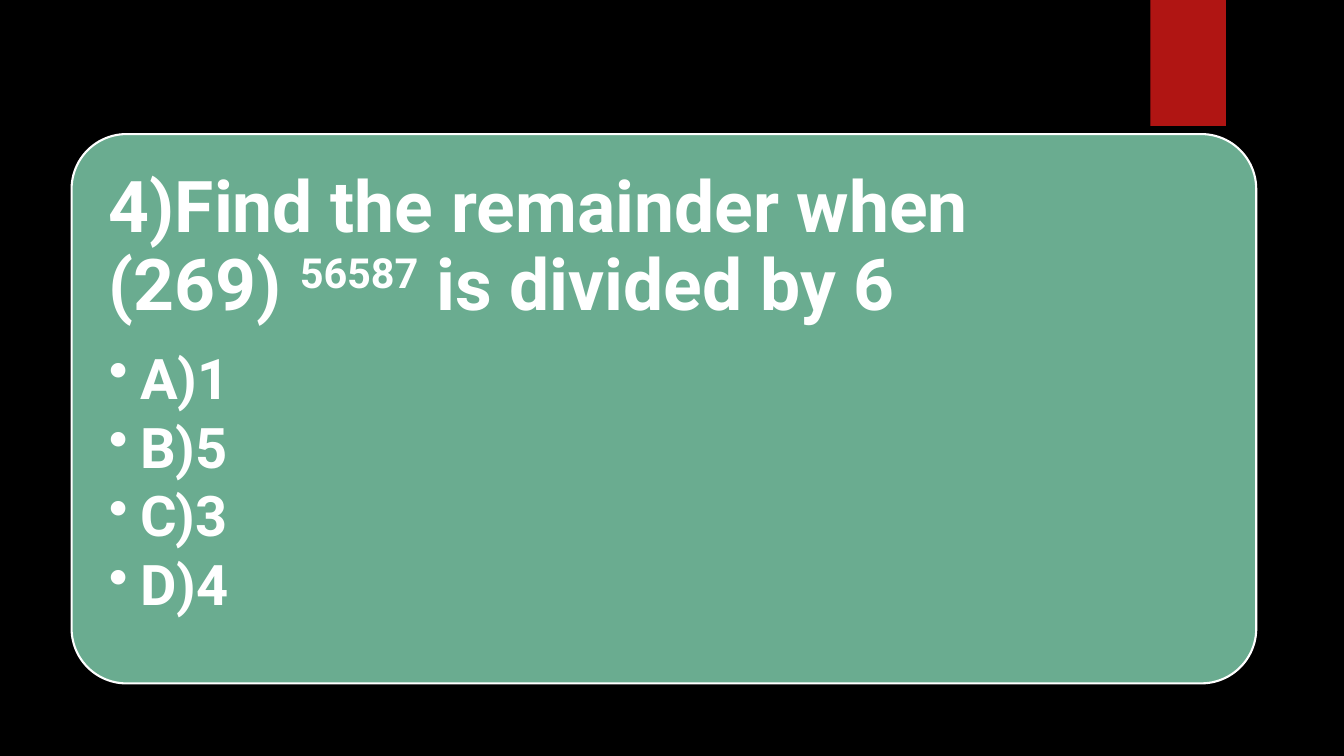
from lxml.etree import SubElement
from pptx import Presentation
from pptx.dml.color import RGBColor
from pptx.enum.shapes import MSO_SHAPE
from pptx.enum.text import MSO_ANCHOR, PP_ALIGN
from pptx.oxml.ns import qn
from pptx.util import Inches, Pt

COLORS = {"background": "000000", "ribbon": "B01513", "card": "6AAC90", "white": "FFFFFF"}
FONT = "Roboto"
OPTIONS = ["A)1", "B)5", "C)3", "D)4"]


def color(name):
    return RGBColor.from_string(COLORS[name])


def add_panel(slide, kind, box, fill, line=None):
    shape = slide.shapes.add_shape(kind, *map(Inches, box))
    shape.shadow.inherit = False
    shape.fill.solid()
    shape.fill.fore_color.rgb = color(fill)
    if line:
        shape.line.color.rgb = color(line)
        shape.line.width = Pt(1.5)
    else:
        shape.line.fill.background()
    return shape


def add_run(paragraph, text, size, superscript=False):
    run = paragraph.add_run()
    run.text = text
    run.font.name = FONT
    run.font.size = Pt(size)
    run.font.bold = True
    run.font.color.rgb = color("white")
    if superscript:
        run._r.get_or_add_rPr().set("baseline", "30000")


def format_paragraph(paragraph, space_after):
    paragraph.alignment = PP_ALIGN.LEFT
    paragraph.line_spacing = 0.9
    paragraph.space_after = Pt(space_after)


def add_bullet(paragraph):
    properties = paragraph._p.get_or_add_pPr()
    properties.set("marL", str(Inches(0.31)))
    properties.set("indent", str(-Inches(0.31)))
    SubElement(properties, qn("a:buChar")).set("char", "•")


def add_question(slide):
    text_box = slide.shapes.add_textbox(*map(Inches, (0.87, 1.49, 11.43, 5.13)))
    frame = text_box.text_frame
    frame.word_wrap = True
    frame.vertical_anchor = MSO_ANCHOR.TOP
    frame.margin_left = frame.margin_right = Inches(0.21)
    frame.margin_top = frame.margin_bottom = Inches(0.21)

    # Question
    question = frame.paragraphs[0]
    format_paragraph(question, 18)
    add_run(question, "4)Find the remainder when", 51)
    question.add_line_break()
    add_run(question, "(269) ", 51)
    add_run(question, "56587", 51, superscript=True)
    add_run(question, " is divided by 6", 51)

    # Answer options
    for option in OPTIONS:
        paragraph = frame.add_paragraph()
        add_bullet(paragraph)
        paragraph.level = 1
        format_paragraph(paragraph, 6)
        add_run(paragraph, option, 40)


def main():
    presentation = Presentation()
    presentation.slide_width = Inches(13.33)
    presentation.slide_height = Inches(7.5)
    slide = presentation.slides.add_slide(presentation.slide_layouts[6])
    slide.background.fill.solid()
    slide.background.fill.fore_color.rgb = color("background")

    # Ribbon and card
    add_panel(slide, MSO_SHAPE.RECTANGLE, (11.41, 0, 0.75, 1.25), "ribbon")
    card = add_panel(slide, MSO_SHAPE.ROUNDED_RECTANGLE, (0.71, 1.33, 11.75, 5.45), "card", "white")
    card.adjustments[0] = 0.1

    add_question(slide)
    presentation.save("out.pptx")


if __name__ == "__main__":
    main()
